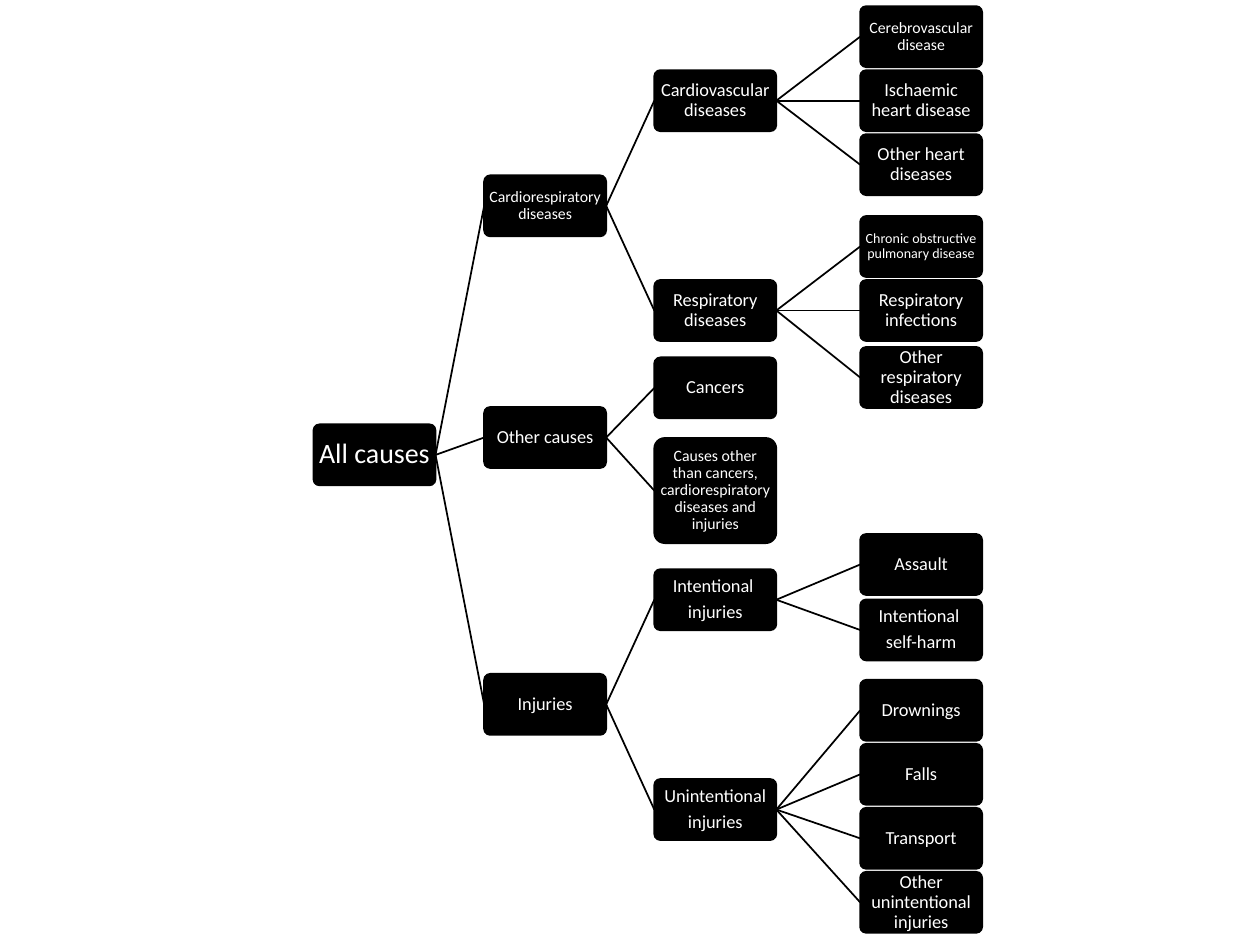
from lxml import etree
from pptx import Presentation
from pptx.dml.color import RGBColor
from pptx.enum.shapes import MSO_CONNECTOR, MSO_SHAPE
from pptx.enum.text import MSO_ANCHOR, PP_ALIGN
from pptx.oxml.ns import qn
from pptx.util import Cm, Pt

ROUNDED = MSO_SHAPE.ROUNDED_RECTANGLE
STRAIGHT = MSO_CONNECTOR.STRAIGHT
MIDDLE = MSO_ANCHOR.MIDDLE
CENTER = PP_ALIGN.CENTER
LEFT_SIDE, RIGHT_SIDE = 1, 3

BLACK, WHITE = "000000", "FFFFFF"
FONT = "Calibri"
COLUMNS = [6.32, 9.76, 13.19, 17.34]
BOX_W, BOX_H, TALL_H = 2.46, 1.23, 2.12
LEAF_STEP = 1.29
MARGIN = 0.02


def node(label, y, *children, size=10.5, height=BOX_H):
    """Describe a cause whose box is centred at y, with its sub-causes."""
    return {"label": label, "y": y, "children": children,
            "size": size, "height": height}


CAUSES = node(
    "All causes", 9.17,
    node("Cardiorespiratory diseases", 4.15,
         node("Cardiovascular diseases", 2.03,
              node("Cerebrovascular disease", 2.03 - LEAF_STEP, size=9),
              node("Ischaemic heart disease", 2.03),
              node("Other heart diseases", 2.03 + LEAF_STEP)),
         node("Respiratory diseases", 6.26,
              node("Chronic obstructive pulmonary disease",
                   6.26 - LEAF_STEP, size=8),
              node("Respiratory infections", 6.26),
              node("Other respiratory diseases", 7.61)),
         size=9),
    node("Other causes", 8.82,
         node("Cancers", 7.82),
         node("Causes other than cancers, cardiorespiratory diseases "
              "and injuries", 9.89, size=9, height=TALL_H)),
    node("Injuries", 14.2,
         node("Intentional \ninjuries", 12.09,
              node("Assault", 11.38),
              node("Intentional \nself-harm", 12.7)),
         node("Unintentional\ninjuries", 16.32,
              *[node(label, 14.32 + i * LEAF_STEP) for i, label in enumerate(
                  ["Drownings", "Falls", "Transport",
                   "Other unintentional injuries"])])),
    size=16)


def rgb(value):
    """Turn a hex string into a colour."""
    return RGBColor.from_string(value)


def add_box(slide, left, cause):
    """Draw the rounded box of one cause and return it."""
    sp = slide.shapes.add_shape(
        ROUNDED, Cm(left), Cm(cause["y"] - cause["height"] / 2),
        Cm(BOX_W), Cm(cause["height"]))
    sp.adjustments[0] = 0.1
    sp.shadow.inherit = False
    sp.fill.solid()
    sp.fill.fore_color.rgb = rgb(BLACK)
    sp.line.color.rgb = rgb(BLACK)
    sp.line.width = Pt(1)
    tf = sp.text_frame
    tf.word_wrap = True
    tf.vertical_anchor = MIDDLE
    tf.margin_left = tf.margin_right = Cm(MARGIN)
    tf.margin_top = tf.margin_bottom = Cm(MARGIN)
    tf.text = cause["label"]
    for p in tf.paragraphs:
        p.alignment = CENTER
        p.line_spacing = 0.9
        p.space_after = Pt(0.35 * cause["size"])
        for r in p.runs:
            r.font.name = FONT
            r.font.size = Pt(cause["size"])
            r.font.color.rgb = rgb(WHITE)
    return sp


def add_link(slide, parent, child):
    """Join the right side of a parent box to the left side of a child box."""
    line = slide.shapes.add_connector(STRAIGHT, 0, 0, 0, 0)
    line.begin_connect(parent, RIGHT_SIDE)
    line.end_connect(child, LEFT_SIDE)
    line.line.color.rgb = rgb(BLACK)
    line.line.width = Pt(1)
    etree.SubElement(line._element.spPr, qn("a:effectLst"))


def add_tree(slide, cause, level=0):
    """Draw a cause and its sub-causes, and return the box of the cause."""
    box = add_box(slide, COLUMNS[level], cause)
    for child in cause["children"]:
        add_link(slide, box, add_tree(slide, child, level + 1))
    return box


def main():
    """Build the slide and save it."""
    prs = Presentation()
    prs.slide_width, prs.slide_height = Cm(25.4), Cm(19.05)
    s = prs.slides.add_slide(prs.slide_layouts[6])
    add_tree(s, CAUSES)
    prs.save("out.pptx")


if __name__ == "__main__":
    main()
